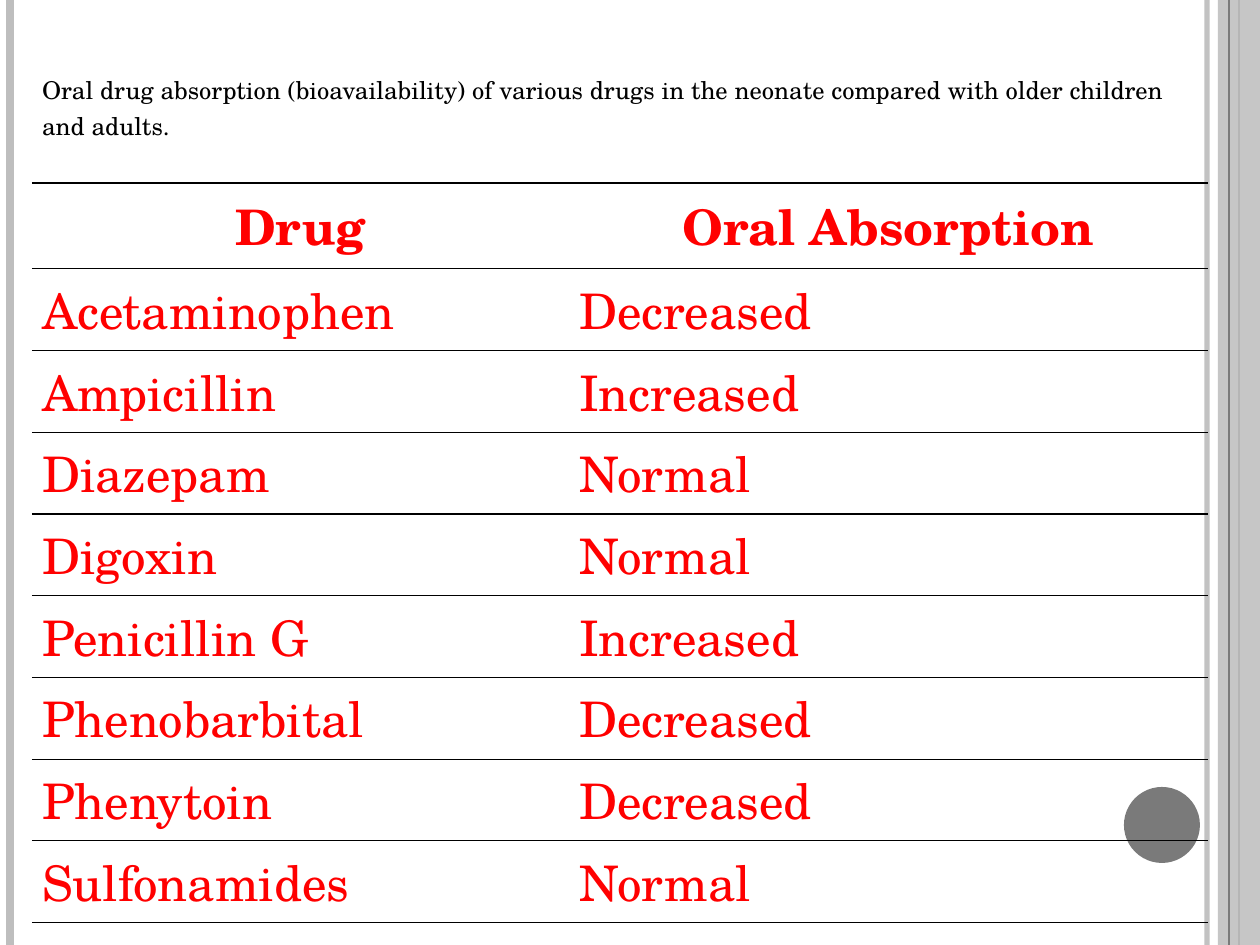
"""Build a slide tabulating neonatal oral drug absorption."""
from typing import NamedTuple, Optional

from lxml.etree import SubElement
from pptx import Presentation
from pptx.dml.color import RGBColor
from pptx.enum.shapes import MSO_CONNECTOR, MSO_SHAPE
from pptx.enum.text import MSO_ANCHOR, PP_ALIGN
from pptx.oxml import parse_xml
from pptx.oxml.ns import nsdecls, qn
from pptx.util import Emu, Inches, Pt

FONT = "TeX Gyre Schola"
NO_STYLE = "{2D5ABB26-0587-4C30-8999-92F81FD0307C}"
HEIGHT = 945


class Rule(NamedTuple):
    x: int
    color: str
    width: float
    alpha: Optional[int] = None


class Panel(NamedTuple):
    kind: MSO_SHAPE
    x: int
    y: int
    w: int
    h: int
    color: str
    alpha: Optional[int] = None


class Style(NamedTuple):
    size: int
    color: str
    bold: bool = False
    align: PP_ALIGN = PP_ALIGN.LEFT


DECOR = [
    Rule(1207, "BEBEBE", 3, 93),
    Rule(10, "BEBEBE", 4.5),
    Rule(1239, "7A7A7A", 1.5),
    Panel(MSO_SHAPE.RECTANGLE, 1218, 0, 42, HEIGHT, "BEBEBE", 87),
    Rule(1229, "7A7A7A", 0.75),
    Panel(MSO_SHAPE.OVAL, 1124, 787, 76, 76, "7A7A7A"),
]
CAPTION = ("Oral drug absorption (bioavailability) of various drugs in the neonate "
           "compared with older children and adults.")
HEADER = ("Drug", "Oral Absorption")
DRUGS = [
    ("Acetaminophen", "Decreased"),
    ("Ampicillin", "Increased"),
    ("Diazepam", "Normal"),
    ("Digoxin", "Normal"),
    ("Penicillin G", "Increased"),
    ("Phenobarbital", "Decreased"),
    ("Phenytoin", "Decreased"),
    ("Sulfonamides", "Normal"),
]
COLS = [537, 639]
ROWS = [151, 86] + [81] * len(DRUGS)
CAPTION_STYLE = Style(14, "000000")
HEADER_STYLE = Style(28, "FF0000", True, PP_ALIGN.CENTER)
BODY_STYLE = Style(28, "FF0000")


def px(n: int) -> Emu:
    """Turn pixels into EMU."""
    return Emu(round(n * 914400 / 126))


def rgb(color: str) -> RGBColor:
    """Turn a hex string into a colour."""
    return RGBColor.from_string(color)


def set_alpha(sp, alpha: Optional[int]) -> None:
    """Make the first solid colour of a shape partly transparent."""
    if alpha is not None:
        clr = next(sp._element.spPr.iter(qn("a:srgbClr")))
        SubElement(clr, qn("a:alpha")).set("val", str(alpha * 1000))


def draw_rule(s, rule: Rule) -> None:
    """Draw a full-height vertical line."""
    cxn = s.shapes.add_connector(
        MSO_CONNECTOR.STRAIGHT, px(rule.x), 0, px(rule.x), px(HEIGHT))
    cxn.line.color.rgb = rgb(rule.color)
    cxn.line.width = Pt(rule.width)
    set_alpha(cxn, rule.alpha)
    SubElement(cxn._element.spPr, qn("a:effectLst"))


def draw_panel(s, panel: Panel) -> None:
    """Draw a filled shape without an outline."""
    sp = s.shapes.add_shape(
        panel.kind, px(panel.x), px(panel.y), px(panel.w), px(panel.h))
    sp.shadow.inherit = False
    sp.fill.solid()
    sp.fill.fore_color.rgb = rgb(panel.color)
    sp.line.fill.background()
    set_alpha(sp, panel.alpha)


def underline_cell(cell) -> None:
    """Leave a cell unfilled with a thin black bottom border."""
    cell.fill.background()
    cell._tc.get_or_add_tcPr().insert(0, parse_xml(
        f'<a:lnB {nsdecls("a")} w="{Pt(0.75)}"><a:solidFill>'
        '<a:srgbClr val="000000"/></a:solidFill></a:lnB>'))


def write_cell(cell, text: str, style: Style) -> None:
    """Put styled text in the middle of a cell."""
    cell.vertical_anchor = MSO_ANCHOR.MIDDLE
    cell.margin_left = cell.margin_right = Inches(0.08)
    cell.margin_top = cell.margin_bottom = Inches(0.04)
    p = cell.text_frame.paragraphs[0]
    p.text = text
    p.alignment = style.align
    p.font.name = FONT
    p.font.size = Pt(style.size)
    p.font.bold = style.bold
    p.font.color.rgb = rgb(style.color)


def draw_table(s) -> None:
    """Draw the caption, header and drug rows as one table."""
    table = s.shapes.add_table(
        len(ROWS), len(COLS), px(32), px(32), px(sum(COLS)), px(sum(ROWS))).table
    table.first_row = table.horz_banding = False
    table._tbl.tblPr.find(qn("a:tableStyleId")).text = NO_STYLE
    for col, w in zip(table.columns, COLS):
        col.width = px(w)
    for row, h in zip(table.rows, ROWS):
        row.height = px(h)
    for cell in table.iter_cells():
        underline_cell(cell)
    table.cell(0, 0).merge(table.cell(0, 1))
    write_cell(table.cell(0, 0), CAPTION, CAPTION_STYLE)
    for i, texts in enumerate([HEADER] + DRUGS, 1):
        for j, text in enumerate(texts):
            write_cell(table.cell(i, j), text, HEADER_STYLE if i == 1 else BODY_STYLE)


def main() -> None:
    """Build and save the slide."""
    prs = Presentation()
    prs.slide_width, prs.slide_height = px(1260), px(HEIGHT)
    s = prs.slides.add_slide(prs.slide_layouts[6])
    for item in DECOR:
        if isinstance(item, Rule):
            draw_rule(s, item)
        else:
            draw_panel(s, item)
    draw_table(s)
    prs.save("out.pptx")


if __name__ == "__main__":
    main()
